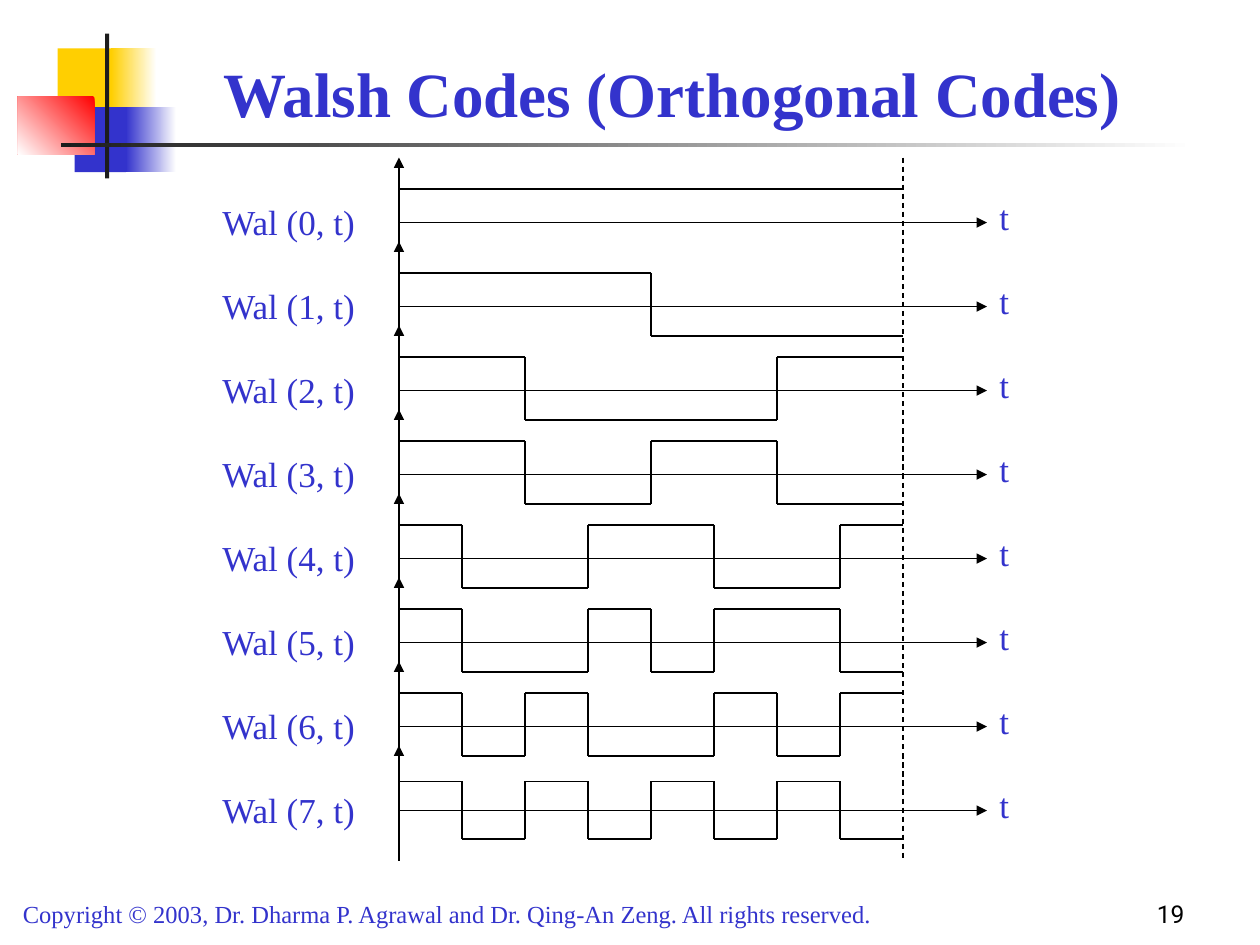
from itertools import groupby

from lxml import etree
from pptx import Presentation
from pptx.dml.color import RGBColor
from pptx.enum.dml import MSO_LINE
from pptx.enum.shapes import MSO_CONNECTOR, MSO_SHAPE
from pptx.enum.text import MSO_ANCHOR, MSO_AUTO_SIZE, PP_ALIGN
from pptx.oxml.ns import qn
from pptx.util import Emu, Pt

DASH = MSO_LINE.DASH
LINE = MSO_CONNECTOR.STRAIGHT
RECT = MSO_SHAPE.RECTANGLE
TOP, BOTTOM = MSO_ANCHOR.TOP, MSO_ANCHOR.BOTTOM
NONE = MSO_AUTO_SIZE.NONE
LEFT, MID, RIGHT = PP_ALIGN.LEFT, PP_ALIGN.CENTER, PP_ALIGN.RIGHT

SCALE = 7620  # EMU in one px, 120 px to the inch
SERIF, SANS = "Times New Roman", "Roboto"
HUES = {
    "blue": "3333CC",
    "gold": "FFCF01",
    "red": "FF0000",
    "dark": "1C1C1C",
    "black": "000000",
    "white": "FFFFFF",
}
CODES = [
    "++++++++",
    "++++----",
    "++----++",
    "++--++--",
    "+--++--+",
    "+--+-++-",
    "+-+--+-+",
    "+-+-+-+-",
]
CHIP, PITCH = 60, 80


def px(n):
    return Emu(n * SCALE)


def hue(name):
    return RGBColor.from_string(HUES[name])


def write(shape, text, size=20, font=SERIF, color="blue", bold=False,
          align=LEFT, anchor=TOP):
    frame = shape.text_frame
    frame.word_wrap = True
    frame.auto_size = NONE
    frame.vertical_anchor = anchor
    frame.text = text
    par = frame.paragraphs[0]
    par.alignment = align
    par.font.size = Pt(size)
    par.font.name = font
    par.font.bold = bold
    par.font.color.rgb = hue(color)


def label(slide, box, text, **form):
    write(slide.shapes.add_textbox(*map(px, box)), text, **form)


def block(slide, box, color, end=None, angle=180):
    """Add a bare rectangle, faded from color to end if end is given."""
    shape = slide.shapes.add_shape(RECT, *map(px, box))
    shape.shadow.inherit = False
    shape.line.fill.background()
    if end is None:
        shape.fill.solid()
        shape.fill.fore_color.rgb = hue(color)
        return
    shape.fill.gradient()
    shape.fill.gradient_angle = angle
    for stop, name in zip(shape.fill.gradient_stops, (color, end)):
        stop.color.rgb = hue(name)


def line(slide, x1, y1, x2, y2, arrow=False, dash=None):
    link = slide.shapes.add_connector(LINE, *map(px, (x1, y1, x2, y2)))
    link.line.color.rgb = hue("black")
    link.line.width = Pt(0.75)
    if dash:
        link.line.dash_style = dash
    if arrow:
        etree.SubElement(link.line._get_or_add_ln(), qn("a:tailEnd"),
                         type="triangle")
    etree.SubElement(link._element.spPr, qn("a:effectLst"))


def emblem(slide, x, y):
    # Gold and blue bars that fade to the right
    for left, top, wide, fade, color in ((38, 14, 51, 43, "gold"),
                                         (54, 70, 49, 48, "blue")):
        block(slide, (x + left, y + top, wide, 62), color)
        block(slide, (x + left + wide, y + top, fade, 62), "white", color)
    # Red square and the crossing rules
    block(slide, (x, y + 60, 73, 55), "red", "white", angle=225)
    block(slide, (x + 83, y, 4, 138), "dark")
    block(slide, (x + 41, y + 104, 1080, 4), "white", "dark")


def wave(slide, x, y, high, code):
    """Draw one level per run of equal chips, joined by steps."""
    start = x
    for sign, run in groupby(code):
        end = start + CHIP * len(list(run))
        level = y if sign == "+" else y + high
        if start > x:
            line(slide, start, y, start, y + high)
        line(slide, start, level, end, level)
        start = end


def row(slide, x, y, num, code):
    line(slide, x, y + 110, x, y, arrow=True)
    line(slide, x, y + 62, x + 560, y + 62, arrow=True)
    # The last wave is a little flatter than the rest
    drop, high = (34, 55) if num == len(CODES) - 1 else (30, 60)
    wave(slide, x, y + drop, high, code)
    label(slide, (x - 180, y + 35, 170, 53), f"Wal ({num}, t)")
    label(slide, (x + 560, y + 30, 60, 53), "t")


def chart(slide, x, y):
    for num, code in enumerate(CODES):
        row(slide, x, y + num * PITCH, num, code)
    # End of the code period
    edge = x + CHIP * len(CODES[0])
    line(slide, edge, y, edge, y + 670, dash=DASH)


def head(slide, x, y, wide, high):
    title = slide.shapes.title
    title.left, title.top = px(x), px(y)
    title.width, title.height = px(wide), px(high)
    write(title, "Walsh Codes (Orthogonal Codes)", size=36, bold=True,
          align=MID, anchor=BOTTOM)


def foot(slide, x, y):
    label(slide, (x, y + 20, 910, 41),
          "Copyright © 2003, Dr. Dharma P. Agrawal and Dr. Qing-An Zeng. "
          "All rights reserved.", size=14)
    label(slide, (x + 880, y, 250, 60), "19", size=14, font=SANS,
          color="black", align=RIGHT, anchor=BOTTOM)


def main():
    deck = Presentation()
    deck.slide_width, deck.slide_height = px(1200), px(900)
    slide = deck.slides.add_slide(deck.slide_layouts[5])
    emblem(slide, 17, 32)
    head(slide, 130, 20, 1020, 110)
    chart(slide, 380, 150)
    foot(slide, 10, 830)
    deck.save("out.pptx")


if __name__ == "__main__":
    main()
